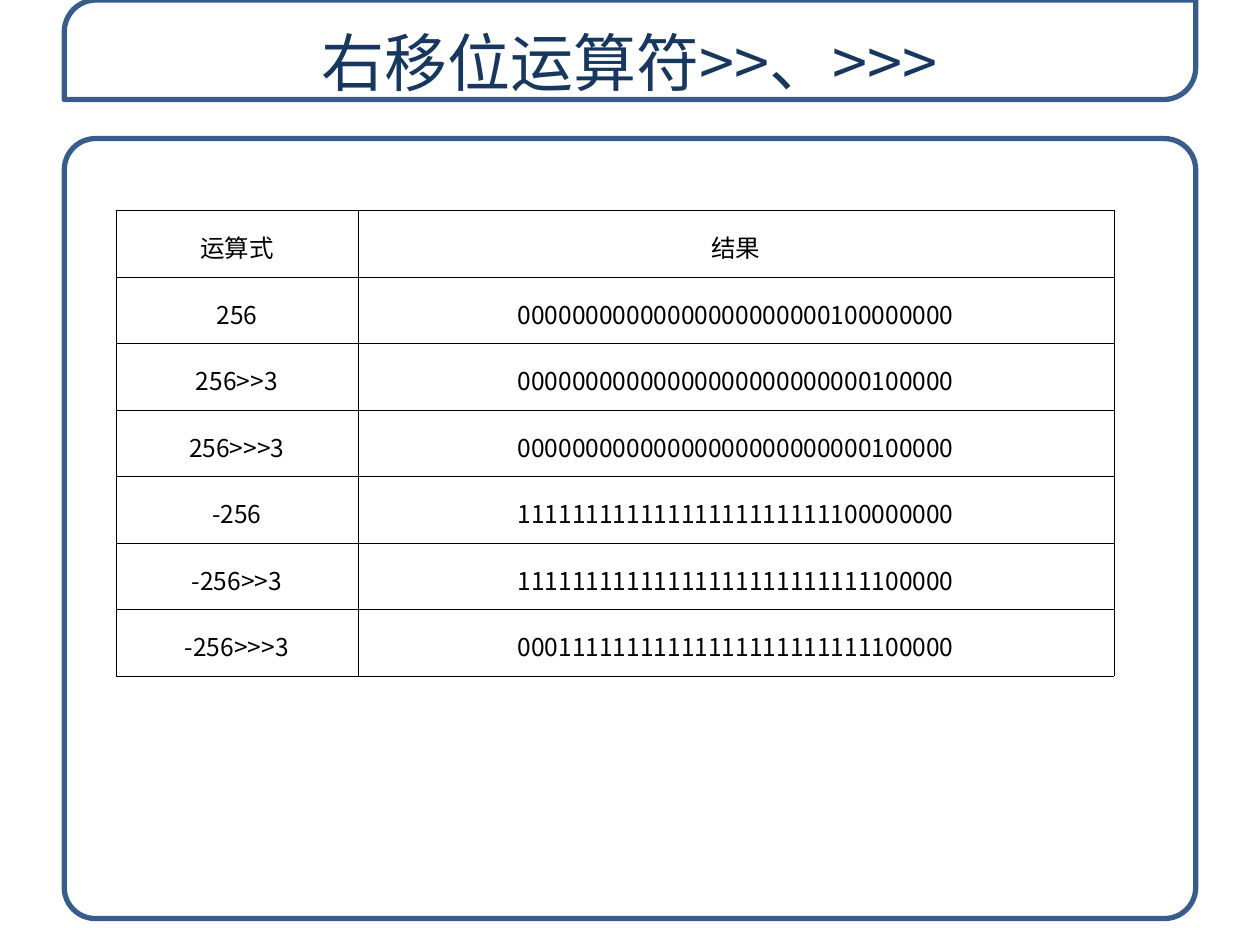
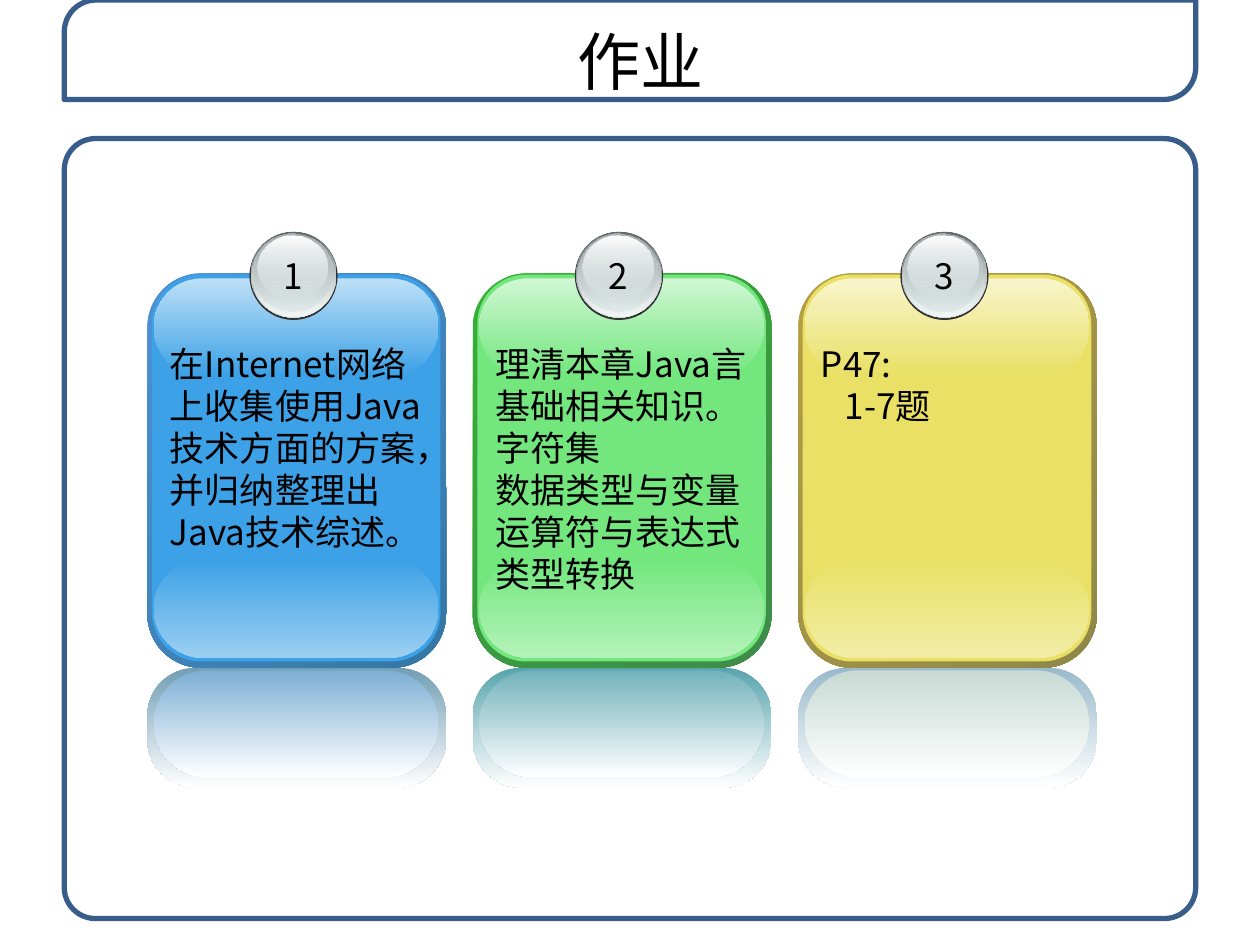
from lxml.etree import SubElement
from pptx import Presentation
from pptx.dml.color import RGBColor
from pptx.enum.shapes import MSO_SHAPE as Shape
from pptx.enum.text import MSO_ANCHOR as Anchor, PP_ALIGN as Align
from pptx.oxml.ns import qn
from pptx.util import Inches, Pt

FONT = "Noto Sans CJK SC"
BLACK, WHITE, NAVY, FRAME = "000000", "FFFFFF", "17375E", "385D8A"
LINE_RATIO = 1.2

prs = Presentation()
prs.slide_width, prs.slide_height = Inches(10), Inches(7.5)
UNIT = prs.slide_width / 100  # grid of 100 columns by 75 rows


def grid(*lengths):
    return [round(n * UNIT) for n in lengths]


def color(hex_text):
    return RGBColor.from_string(hex_text)


def add_panel(s, kind, box, stops, angle=90, adj=(), line=None):
    """Preset shape; each stop is (colour, opacity in percent)."""
    sp = s.shapes.add_shape(kind, *grid(*box))
    sp.shadow.inherit = False
    for i, value in enumerate(adj):
        sp.adjustments[i] = value
    if len(stops) == 1:
        sp.fill.solid()
        sp.fill.fore_color.rgb = color(stops[0][0])
    else:
        sp.fill.gradient()
        sp.fill.gradient_angle = 360 - angle
        for stop, (hex_text, _) in zip(sp.fill.gradient_stops, stops):
            stop.color.rgb = color(hex_text)
    for clr, (_, opacity) in zip(list(sp._element.spPr.iter(qn("a:srgbClr"))), stops):
        if opacity < 100:
            SubElement(clr, qn("a:alpha"), val=str(opacity * 1000))
    if line:
        sp.line.color.rgb = color(line)
        sp.line.width = Pt(3)
    else:
        sp.line.fill.background()
    return sp


def write(p, text, size, hex_text=BLACK, align=Align.LEFT, leading=None):
    p.alignment = align
    p.line_spacing = Pt(leading or size * LINE_RATIO)
    r = p.add_run()
    r.text = text
    r.font.size, r.font.name = Pt(size), FONT
    r.font.color.rgb = color(hex_text)
    SubElement(r._r.get_or_add_rPr(), qn("a:ea"), typeface=FONT)


def add_text(s, box, lines, size, hex_text=BLACK, align=Align.LEFT, wrap=True):
    """Text box; each line is a string or (string, indent in columns)."""
    tf = s.shapes.add_textbox(*grid(*box)).text_frame
    tf.word_wrap = wrap
    for i, line in enumerate(lines):
        text, indent = line if isinstance(line, tuple) else (line, 0)
        p = tf.add_paragraph() if i else tf.paragraphs[0]
        if indent:
            p._p.get_or_add_pPr().set("marL", str(grid(indent)[0]))
        write(p, text, size, hex_text, align)


def add_framed_slide(title, title_box, title_color):
    s = prs.slides.add_slide(prs.slide_layouts[6])
    paper = [(WHITE, 85)]
    # Content frame and title band
    add_panel(s, Shape.ROUNDED_RECTANGLE, (5.1, 11, 89.8, 61.9), paper,
              adj=[0.04], line=FRAME)
    add_panel(s, Shape.ROUND_2_DIAG_RECTANGLE, (5.1, 0, 89.8, 7.9), paper,
              adj=[0.32, 0], line=FRAME)
    add_text(s, title_box, [title], 36, title_color, Align.CENTER)
    return s


def style_cell(cell, text):
    cell.vertical_anchor = Anchor.MIDDLE
    cell.fill.background()
    p = cell.text_frame.paragraphs[0]
    write(p, text, 14, align=Align.CENTER, leading=24)
    p.space_before, p.space_after = Pt(6), Pt(1)
    # Thin borders come before the fill in the cell properties
    tc_pr = cell._tc.get_or_add_tcPr()
    for i, side in enumerate(("lnL", "lnR", "lnT", "lnB")):
        ln = SubElement(tc_pr, qn("a:" + side), w=str(Pt(0.25)))
        SubElement(SubElement(ln, qn("a:solidFill")), qn("a:srgbClr"), val=BLACK)
        tc_pr.insert(i, ln)


def add_shift_table(s, left, top, widths, row_height, rows):
    frame = s.shapes.add_table(len(rows), len(widths), *grid(
        left, top, sum(widths), row_height * len(rows)))
    table = frame.table
    table.first_row = table.horz_banding = False
    for column, width in zip(table.columns, grid(*widths)):
        column.width = width
    for i, row in enumerate(rows):
        table.rows[i].height = grid(row_height)[0]
        for j, text in enumerate(row):
            style_cell(table.cell(i, j), text)


# Glass badge layers: x, y, width, height, stops
BADGE_LAYERS = [
    (8.1, 0, 7, 7, [("333333", 100)]),
    (8.2, 0, 6.8, 6.8, [("636869", 100), ("D6E1E2", 100)]),
    (8.3, 0.1, 6.6, 6.6, [("D6E1E2", 0), ("F1F5F5", 100)]),
    (8.35, 0.1, 6.3, 6.2, [("AAB2B3", 100), ("D6E1E2", 48)]),
    (8.7, 0.3, 5.6, 5, [(WHITE, 100), ("D6E1E2", 38)]),
]


def add_task_card(s, left, top, number, lines, tint):
    rim_light, rim_dark, face, low_glow, high_glow, mirror, mirror_face = tint
    # Body, highlights and reflection: x, y, width, height, corner, angle, colours
    layers = [
        (0, 3.3, 23.7, 31.3, 0.18, 45, (rim_light, rim_dark)),
        (0.35, 3.4, 22.9, 30.7, 0.17, 0, (face,)),
        (0.5, 26, 22.6, 7.8, 0.5, 90, (face, low_glow)),
        (0.5, 3.7, 22.6, 7.7, 0.5, 90, (high_glow, face)),
        (0, 34.6, 23.7, 9.5, 0.4, 90, (mirror, WHITE)),
        (0.5, 34.8, 22.6, 8.5, 0.5, 90, (mirror_face, WHITE)),
    ]
    for x, y, w, h, corner, angle, hues in layers:
        add_panel(s, Shape.ROUNDED_RECTANGLE, (left + x, top + y, w, h),
                  [(hue, 100) for hue in hues], angle, [corner])
    # Numbered badge
    for x, y, w, h, stops in BADGE_LAYERS:
        add_panel(s, Shape.OVAL, (left + x, top + y, w, h), stops)
    add_text(s, (left + 9.7, top + 1.3, 3.7, 4.4), [str(number)], 20,
             align=Align.CENTER, wrap=False)
    # Task
    add_text(s, (left + 0.8, top + 8.3, 22.5, 21), lines, 20)


SHIFT_ROWS = [
    ("运算式", "结果"),
    ("256", "00000000000000000000000100000000"),
    ("256>>3", "00000000000000000000000000100000"),
    ("256>>>3", "00000000000000000000000000100000"),
    ("-256", "11111111111111111111111100000000"),
    ("-256>>3", "11111111111111111111111111100000"),
    ("-256>>>3", "00011111111111111111111111100000"),
]

# Task lines with the card's colours
TASKS = [
    (["在Internet网络上收集使用Java技术方面的方案，并归纳整理出Java技术综述。"],
     ("4E91D4", "3477A4", "3CA1E6", "9BCFF2", "BEE0F7", "729EB4", "7DAFD4")),
    (["理清本章Java言基础相关知识。", "字符集", "数据类型与变量",
      "运算符与表达式", "类型转换"],
     ("34B034", "3F8B4A", "73E77E", "B3F2B9", "D0F7D4", "58A4AE", "72B2BB")),
    (["P47:", ("1-7题", 1.9)],
     ("B59F43", "8F8849", "E9E065", "F2EDA6", "F8F5CC", "99BACC", "C8DAD4")),
]


def build_shift_slide():
    s = add_framed_slide("右移位运算符>>、>>>", (5.1, 1.4, 89.7, 7.6), NAVY)
    add_shift_table(s, 9.2, 16.7, (19.2, 60), 5.28, SHIFT_ROWS)


def build_homework_slide():
    s = add_framed_slide("作业", (5.8, 1.3, 90, 5.7), BLACK)
    for i, (lines, tint) in enumerate(TASKS):
        add_task_card(s, 11.7 + 25.83 * i, 18.4, i + 1, lines, tint)


def main():
    build_shift_slide()
    build_homework_slide()
    prs.save("out.pptx")


if __name__ == "__main__":
    main()
